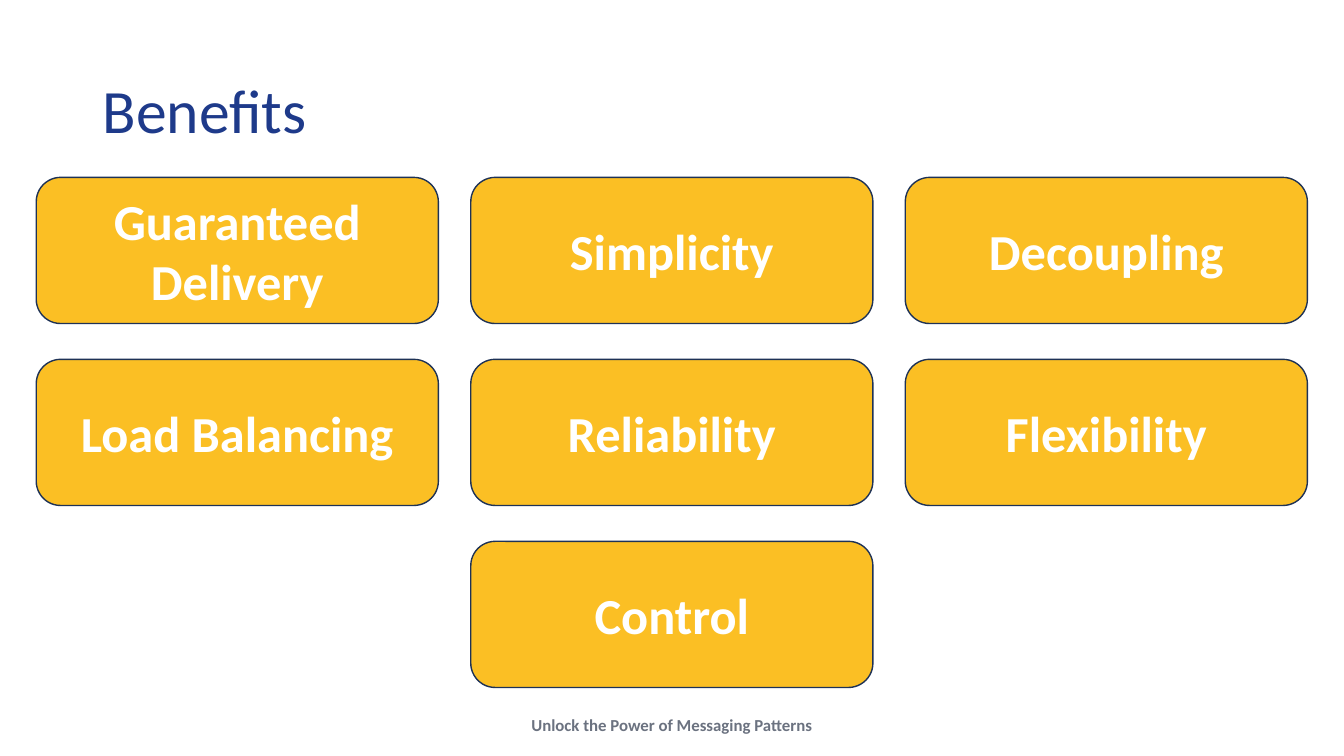
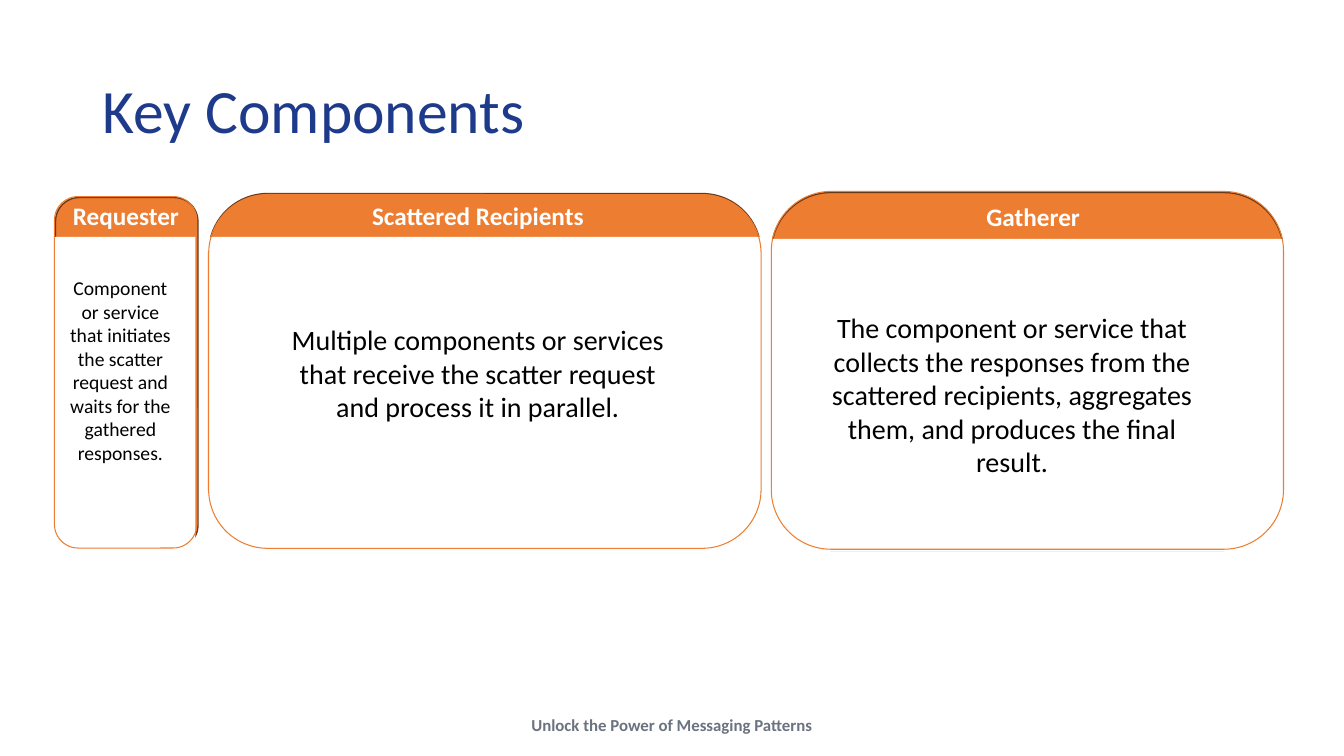
"""Build two slides on messaging patterns: benefits and key components."""
import dataclasses
import typing

import pptx
import pptx.dml.color
import pptx.enum.shapes
import pptx.enum.text
import pptx.util

SLIDE_WIDTH = pptx.util.Inches(13.33)
SLIDE_HEIGHT = pptx.util.Inches(7.5)
FONT = "Calibri"
WHITE, BLACK = "FFFFFF", "000000"
BLUE, GREY = "1E3A8A", "6B7280"
AMBER, NAVY = "FBBF24", "1E3256"
ORANGE, BROWN = "ED7D31", "683715"
FOOTER = "Unlock the Power of Messaging Patterns"

ALIGN = pptx.enum.text.PP_ALIGN
ANCHOR = pptx.enum.text.MSO_ANCHOR
AUTO_SIZE = pptx.enum.text.MSO_AUTO_SIZE
SHAPE = pptx.enum.shapes.MSO_SHAPE


class Box(typing.NamedTuple):
    """Hold a position and size as percentages of the slide."""

    left: float
    top: float
    width: float
    height: float

    def lengths(self) -> tuple[int, ...]:
        """Return left, top, width and height as slide lengths."""
        sides = (SLIDE_WIDTH, SLIDE_HEIGHT, SLIDE_WIDTH, SLIDE_HEIGHT)
        return tuple(round(share * side / 100) for share, side in zip(self, sides))


@dataclasses.dataclass(frozen=True)
class TextStyle:
    """Describe the look of one paragraph and its frame."""

    size: float
    colour: str
    bold: bool = False
    align: ALIGN = ALIGN.CENTER
    anchor: ANCHOR = ANCHOR.TOP
    wrap: bool = True
    auto_size: AUTO_SIZE = AUTO_SIZE.SHAPE_TO_FIT_TEXT
    line_spacing: float = 1.0


@dataclasses.dataclass(frozen=True)
class Component:
    """Describe one component card: its outline, parts and wording."""

    heading: str
    body: str
    body_size: float
    backing: Box
    cover: Box
    outline: Box
    heading_box: Box
    body_box: Box


TITLE_BOX = Box(6.9, 5.33, 86.27, 19.33)
FOOTER_BOX = Box(38.63, 93.87, 22.73, 4)
TITLE_STYLE = TextStyle(44, BLUE, align=ALIGN.LEFT, anchor=ANCHOR.MIDDLE,
                        auto_size=AUTO_SIZE.NONE, line_spacing=0.9)
FOOTER_STYLE = TextStyle(12, GREY, bold=True, wrap=False)
BENEFIT_STYLE = TextStyle(36, WHITE, bold=True, anchor=ANCHOR.MIDDLE,
                          auto_size=AUTO_SIZE.NONE)
HEADING_STYLE = TextStyle(18, WHITE, bold=True, wrap=False)

FIRST_BENEFIT = Box(2.7, 23.47, 29.92, 19.33)
COLUMN_STEP, ROW_STEP = 32.33, 24.07
BENEFITS = (
    ("Guaranteed Delivery", "Simplicity", "Decoupling"),
    ("Load Balancing", "Reliability", "Flexibility"),
    (None, "Control", None),
)

COMPONENTS = (
    Component(
        "Requester",
        "Component or service that initiates the scatter request and waits "
        "for the gathered responses.",
        14,
        backing=Box(4.13, 26.13, 10.6, 46.5),
        cover=Box(4.05, 31.33, 10.5, 42.13),
        outline=Box(4.05, 26, 10.6, 46.5),
        heading_box=Box(4.65, 25.87, 9.45, 5.33),
        body_box=Box(4.05, 35.87, 9.83, 26.53),
    ),
    Component(
        "Scattered Recipients",
        "Multiple components or services that receive the scatter request "
        "and process it in parallel.",
        20,
        backing=Box(15.53, 25.6, 41.1, 46.8),
        cover=Box(15.45, 31.33, 41.63, 41.33),
        outline=Box(15.53, 25.73, 41.1, 46.8),
        heading_box=Box(17.48, 25.87, 36.16, 5.33),
        body_box=Box(20.25, 42, 30.6, 14.8),
    ),
    Component(
        "Gatherer",
        "The component or service that collects the responses from the "
        "scattered recipients, aggregates them, and produces the final result.",
        20,
        backing=Box(57.39, 25.47, 38.11, 47.33),
        cover=Box(57.09, 31.6, 38.86, 41.33),
        outline=Box(57.39, 25.33, 38.11, 47.33),
        heading_box=Box(60, 26, 33.75, 5.33),
        body_box=Box(60, 40.4, 30.6, 23.73),
    ),
)


def colour(value: str) -> pptx.dml.color.RGBColor:
    """Turn a hex string into a colour."""
    return pptx.dml.color.RGBColor.from_string(value)


def apply(target: typing.Any, values: dict[str, typing.Any]) -> None:
    """Set each named attribute on the target."""
    for name, value in values.items():
        setattr(target, name, value)


def write(shape: typing.Any, text: str, style: TextStyle) -> None:
    """Write one styled paragraph into a shape."""
    frame = shape.text_frame
    apply(frame, {"text": text, "word_wrap": style.wrap,
                  "auto_size": style.auto_size, "vertical_anchor": style.anchor})
    paragraph = frame.paragraphs[0]
    apply(paragraph, {"alignment": style.align, "line_spacing": style.line_spacing})
    apply(paragraph.font, {"name": FONT, "size": pptx.util.Pt(style.size),
                           "bold": style.bold})
    paragraph.font.color.rgb = colour(style.colour)


def add_text(shapes: typing.Any, box: Box, text: str, style: TextStyle) -> None:
    """Add a text box with one styled paragraph."""
    write(shapes.add_textbox(*box.lengths()), text, style)


def add_panel(shapes: typing.Any, kind: SHAPE, box: Box, fill: str | None = None,
              line: str | None = None, line_width: float = 1) -> typing.Any:
    """Add a flat preset shape with an optional fill and line."""
    shape = shapes.add_shape(kind, *box.lengths())
    shape.shadow.inherit = False
    if fill:
        shape.fill.solid()
        shape.fill.fore_color.rgb = colour(fill)
    else:
        shape.fill.background()
    if line:
        shape.line.color.rgb = colour(line)
        shape.line.width = pptx.util.Pt(line_width)
    else:
        shape.line.fill.background()
    return shape


def add_slide(presentation: typing.Any, title: str) -> typing.Any:
    """Add a blank slide with the shared footer and title."""
    slide = presentation.slides.add_slide(presentation.slide_layouts[6])
    add_text(slide.shapes, FOOTER_BOX, FOOTER, FOOTER_STYLE)
    add_text(slide.shapes, TITLE_BOX, title, TITLE_STYLE)
    return slide


def add_benefits(slide: typing.Any) -> None:
    """Lay out the benefit tiles on a grid."""
    for row, names in enumerate(BENEFITS):
        for column, name in enumerate(names):
            if name:
                box = FIRST_BENEFIT._replace(
                    left=FIRST_BENEFIT.left + column * COLUMN_STEP,
                    top=FIRST_BENEFIT.top + row * ROW_STEP)
                tile = add_panel(slide.shapes, SHAPE.ROUNDED_RECTANGLE, box, AMBER, NAVY)
                write(tile, name, BENEFIT_STYLE)


def add_component(slide: typing.Any, component: Component) -> None:
    """Draw one component card as a group."""
    shapes = slide.shapes.add_group_shape().shapes
    add_panel(shapes, SHAPE.ROUNDED_RECTANGLE, component.backing, ORANGE, BROWN)
    add_panel(shapes, SHAPE.RECTANGLE, component.cover, WHITE)
    add_panel(shapes, SHAPE.ROUNDED_RECTANGLE, component.outline,
              line=ORANGE, line_width=0.75)
    add_text(shapes, component.heading_box, component.heading, HEADING_STYLE)
    add_text(shapes, component.body_box, component.body,
             TextStyle(component.body_size, BLACK))


def main() -> None:
    """Build and save the presentation."""
    presentation = pptx.Presentation()
    apply(presentation, {"slide_width": SLIDE_WIDTH, "slide_height": SLIDE_HEIGHT})
    add_benefits(add_slide(presentation, "Benefits"))
    components_slide = add_slide(presentation, "Key Components")
    for component in COMPONENTS:
        add_component(components_slide, component)
    presentation.save("out.pptx")


if __name__ == "__main__":
    main()
